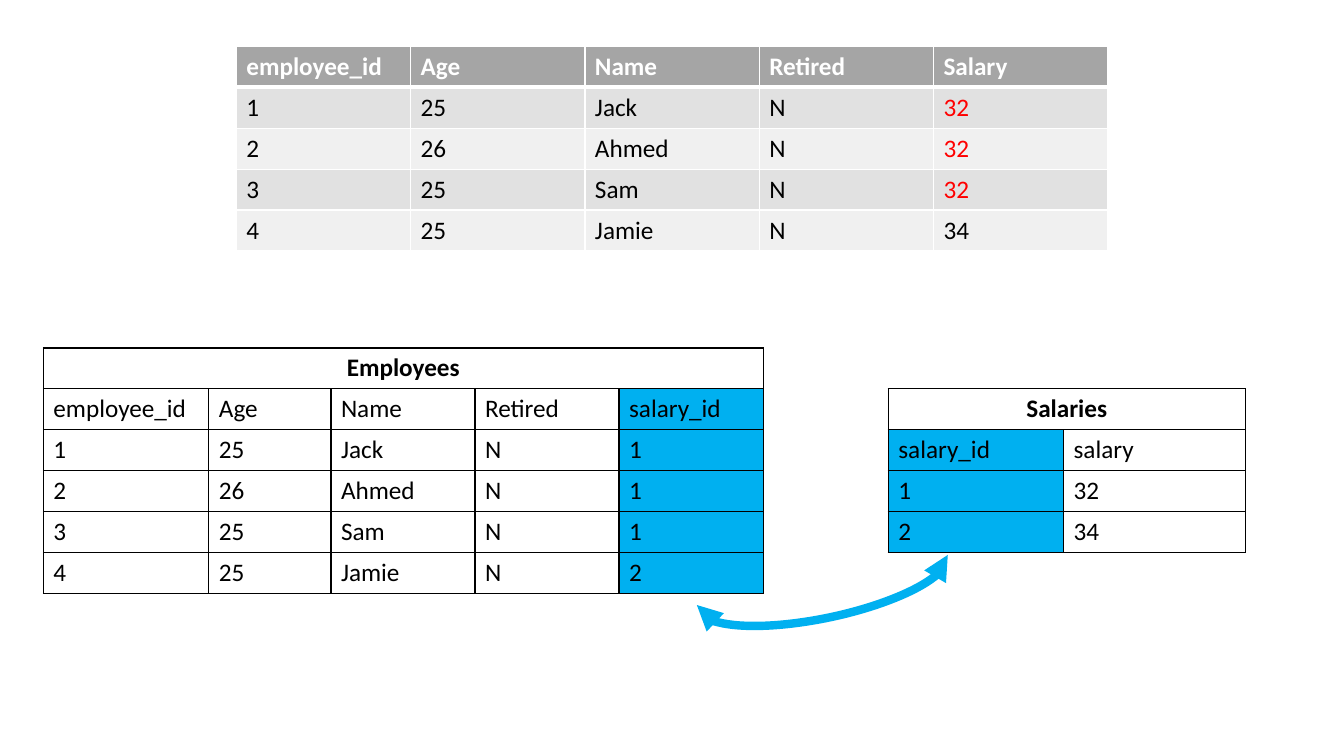
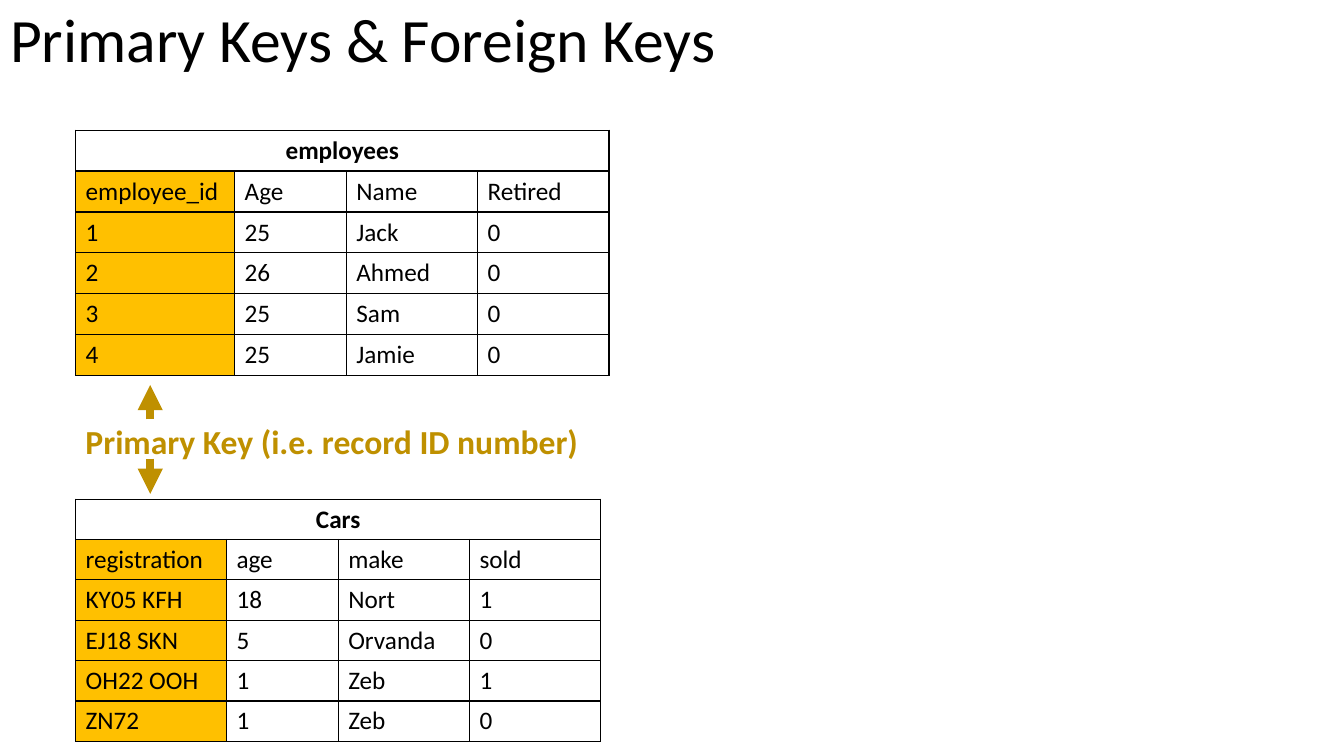
"""Build two slides that explain normalised tables and their keys."""
from dataclasses import dataclass

from lxml import etree
from pptx import Presentation
from pptx.dml.color import RGBColor
from pptx.enum import shapes, text
from pptx.oxml.ns import qn
from pptx.util import Pt


@dataclass(frozen=True)
class Theme:
    """Colours, type sizes and line widths shared by the slides."""

    font: str = "Calibri"
    ink: str = "000000"
    paper: str = "FFFFFF"
    alert: str = "FF0000"
    header: str = "A5A5A5"
    bands: tuple = ("E1E1E1", "F0F0F0")
    foreign_key: str = "00B0F0"
    primary_key: str = "FFC000"
    primary_label: str = "BF9000"
    title_size: float = 44
    label_size: float = 24
    cell_size: float = 18
    border: float = 1
    header_rule: float = 3
    arrow: float = 6
    row_height: float = 29.2


THEME = Theme()
PEOPLE = [("1", "25", "Jack"), ("2", "26", "Ahmed"), ("3", "25", "Sam"), ("4", "25", "Jamie")]
PERSON_HEADS = ("employee_id", "Age", "Name", "Retired")


def write(frame, content, size=THEME.cell_size, color=THEME.ink, bold=False, align="LEFT", spacing=None):
    """Write one formatted paragraph into a text frame."""
    paragraph = frame.paragraphs[0]
    paragraph.alignment = getattr(text.PP_ALIGN, align)
    paragraph.line_spacing = spacing
    run = paragraph.add_run()
    run.text = content
    run.font.name = THEME.font
    run.font.size = Pt(size)
    run.font.bold = bold
    run.font.color.rgb = RGBColor.from_string(color)


def style_cell(cell, fill, border, top=THEME.border, bottom=THEME.border):
    """Give a cell its four borders and then its fill."""
    properties = cell._tc.get_or_add_tcPr()
    widths = {"L": THEME.border, "R": THEME.border, "T": top, "B": bottom}
    for side, width in widths.items():
        line = etree.SubElement(properties, qn(f"a:ln{side}"), w=str(Pt(width)))
        solid = etree.SubElement(line, qn("a:solidFill"))
        etree.SubElement(solid, qn("a:srgbClr"), val=border)
    if fill:
        cell.fill.solid()
        cell.fill.fore_color.rgb = RGBColor.from_string(fill)
    else:
        cell.fill.background()


def add_grid(slide, left, top, widths, row_count, row_height):
    """Add a table without its banded style."""
    table = slide.shapes.add_table(
        row_count, len(widths), Pt(left), Pt(top), Pt(sum(widths)), Pt(row_height * row_count)
    ).table
    table.first_row = table.horz_banding = False
    for column, width in zip(table.columns, widths):
        column.width = Pt(width)
    for row in table.rows:
        row.height = Pt(row_height)
    return table


def add_record_table(slide, left, top, widths, rows, highlight=None):
    """Add a banded table with a dark header and one marked value in the last column."""
    table = add_grid(slide, left, top, widths, len(rows), THEME.row_height)
    for row_index, row in enumerate(rows):
        is_header = row_index == 0
        fill = THEME.header if is_header else THEME.bands[(row_index - 1) % 2]
        for column_index, content in enumerate(row):
            cell = table.cell(row_index, column_index)
            style_cell(
                cell, fill, THEME.paper,
                top=THEME.header_rule if row_index == 1 else THEME.border,
                bottom=THEME.header_rule if is_header else THEME.border,
            )
            is_marked = column_index == len(row) - 1 and content == highlight
            color = THEME.paper if is_header else THEME.alert if is_marked else THEME.ink
            write(cell.text_frame, content, color=color, bold=is_header)


def add_entity_table(slide, left, top, widths, name, rows, key_column, key_fill, row_height=THEME.row_height):
    """Add an outlined table with a merged name row and a coloured key column."""
    table = add_grid(slide, left, top, widths, len(rows) + 1, row_height)
    table.cell(0, 0).merge(table.cell(0, len(widths) - 1))
    for cell in table.rows[0].cells:
        style_cell(cell, None, THEME.ink)
    write(table.cell(0, 0).text_frame, name, bold=True, align="CENTER")
    for row_index, row in enumerate(rows, 1):
        for column_index, content in enumerate(row):
            cell = table.cell(row_index, column_index)
            style_cell(cell, key_fill if column_index == key_column else None, THEME.ink)
            write(cell.text_frame, content)


def style_line(shape, color, *ends):
    """Draw a thick line with arrowheads at the given ends."""
    shape.line.width = Pt(THEME.arrow)
    shape.line.color.rgb = RGBColor.from_string(color)
    line = shape.line._get_or_add_ln()
    for end in ends:
        etree.SubElement(line, qn(f"a:{end}"), type="triangle")


def add_arrow(slide, x, start, end, color):
    """Add a vertical arrow without a shadow."""
    arrow = slide.shapes.add_connector(shapes.MSO_CONNECTOR.STRAIGHT, Pt(x), Pt(start), Pt(x), Pt(end))
    style_line(arrow, color, "tailEnd")
    etree.SubElement(arrow._element.spPr, qn("a:effectLst"))


def add_relation_arc(slide, left, top, width, height):
    """Add the curved two-headed arrow between matching key columns."""
    arc = slide.shapes.add_shape(shapes.MSO_SHAPE.ARC, Pt(left), Pt(top), Pt(width), Pt(height))
    arc.adjustments[0] = 107.28
    arc.adjustments[1] = 0
    arc.rotation = 348.1
    arc._element.spPr.find(qn("a:xfrm")).set("flipV", "1")
    arc.fill.background()
    style_line(arc, THEME.foreign_key, "headEnd", "tailEnd")
    arc.shadow.inherit = False


def add_primary_key_label(slide, left, top, width, height):
    """Add the key label with arrows to the tables above and below it."""
    label = slide.shapes.add_textbox(Pt(left), Pt(top), Pt(width), Pt(height))
    label.text_frame.word_wrap = False
    write(
        label.text_frame, "Primary Key (i.e. record ID number)",
        size=THEME.label_size, color=THEME.primary_label, bold=True,
    )
    x = left + 53.3
    add_arrow(slide, x, top + 2.1, top - 22.4, THEME.primary_label)
    add_arrow(slide, x, top + 30.2, top + 55.4, THEME.primary_label)


def add_title(slide, content, left, top, width, height):
    """Place and format the title placeholder."""
    title = slide.shapes.title
    title.left, title.top, title.width, title.height = map(Pt, (left, top, width, height))
    frame = title.text_frame
    frame.auto_size = text.MSO_AUTO_SIZE.NONE
    frame.vertical_anchor = text.MSO_ANCHOR.MIDDLE
    write(frame, content, size=THEME.title_size, spacing=0.9)


def build_normalisation_slide(presentation):
    """Show one flat table split into two related tables."""
    slide = presentation.slides.add_slide(presentation.slide_layouts[6])
    salaries = ("32", "32", "32", "34")
    salary_ids = ("1", "1", "1", "2")
    flat_rows = [(*PERSON_HEADS, "Salary")]
    flat_rows += [(*person, "N", salary) for person, salary in zip(PEOPLE, salaries)]
    employee_rows = [(*PERSON_HEADS, "salary_id")]
    employee_rows += [(*person, "N", key) for person, key in zip(PEOPLE, salary_ids)]
    salary_rows = [("salary_id", "salary"), ("1", "32"), ("2", "34")]

    add_entity_table(
        slide, 31, 248.5, (118.2, 87.2, 102.9, 102.9, 102.9),
        "Employees", employee_rows, 4, THEME.foreign_key,
    )
    add_record_table(slide, 168.8, 33.2, [124.5] * 5, flat_rows, highlight="32")
    add_entity_table(slide, 634.5, 277.7, (125.2, 129.8), "Salaries", salary_rows, 0, THEME.foreign_key)
    add_relation_arc(slide, 496, 389, 183, 52.5)


def build_keys_slide(presentation):
    """Show the primary keys of two tables."""
    slide = presentation.slides.add_slide(presentation.slide_layouts[5])
    left = 54
    shared_widths = (79.8, 93.8, 93.8)
    employee_rows = [PERSON_HEADS] + [(*person, "0") for person in PEOPLE]
    car_rows = [
        ("registration", "age", "make", "sold"),
        ("KY05 KFH", "18", "Nort", "1"),
        ("EJ18 SKN", "5", "Orvanda", "0"),
        ("OH22 OOH", "1", "Zeb", "1"),
        ("ZN72", "1", "Zeb", "0"),
    ]

    add_title(slide, "Primary Keys & Foreign Keys", 0, -21.6, 828, 104.4)
    add_entity_table(
        slide, left, 93, (113.6, *shared_widths), "employees", employee_rows, 0, THEME.primary_key
    )
    add_primary_key_label(slide, left, 297.4, 369.4, 36.4)
    add_entity_table(
        slide, left, 356.5, (107.8, *shared_widths), "Cars", car_rows, 0, THEME.primary_key, row_height=28.8
    )


def main():
    """Build and save the presentation."""
    presentation = Presentation()
    presentation.slide_width, presentation.slide_height = Pt(960), Pt(540)
    build_normalisation_slide(presentation)
    build_keys_slide(presentation)
    presentation.save("out.pptx")


if __name__ == "__main__":
    main()
